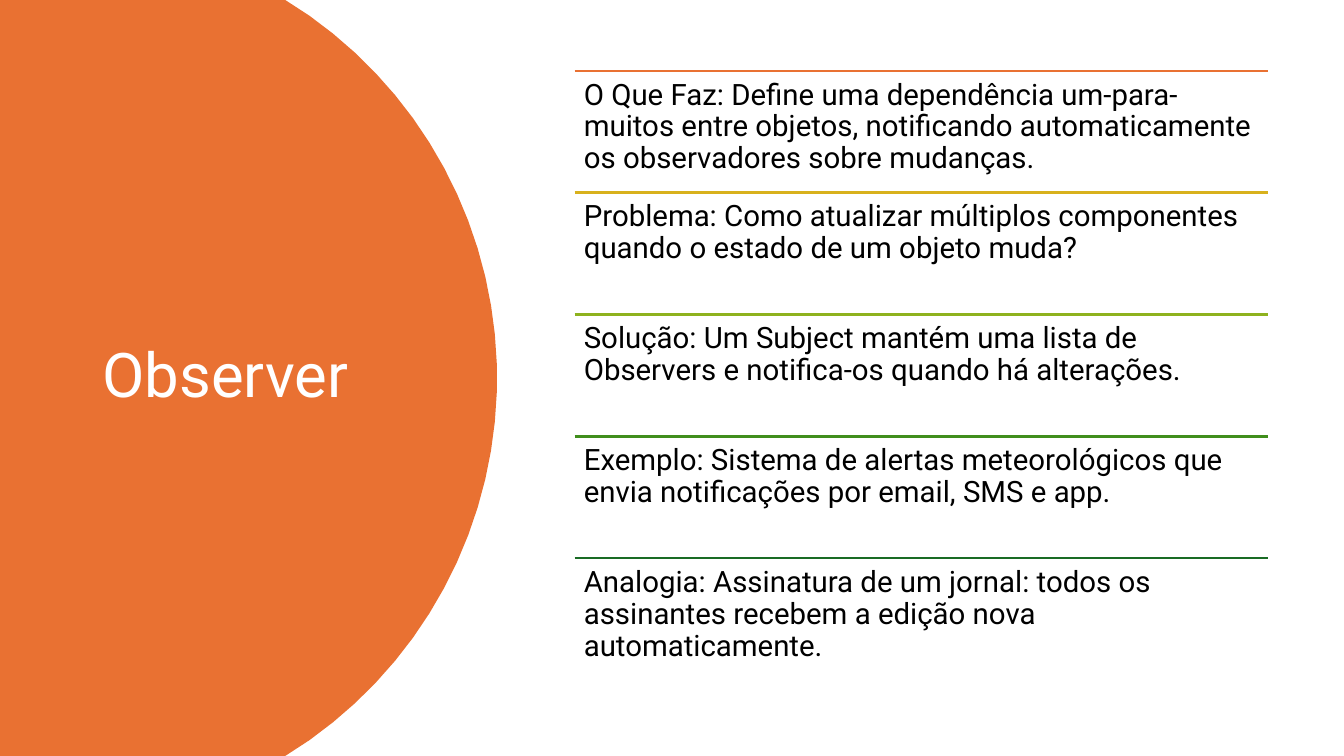
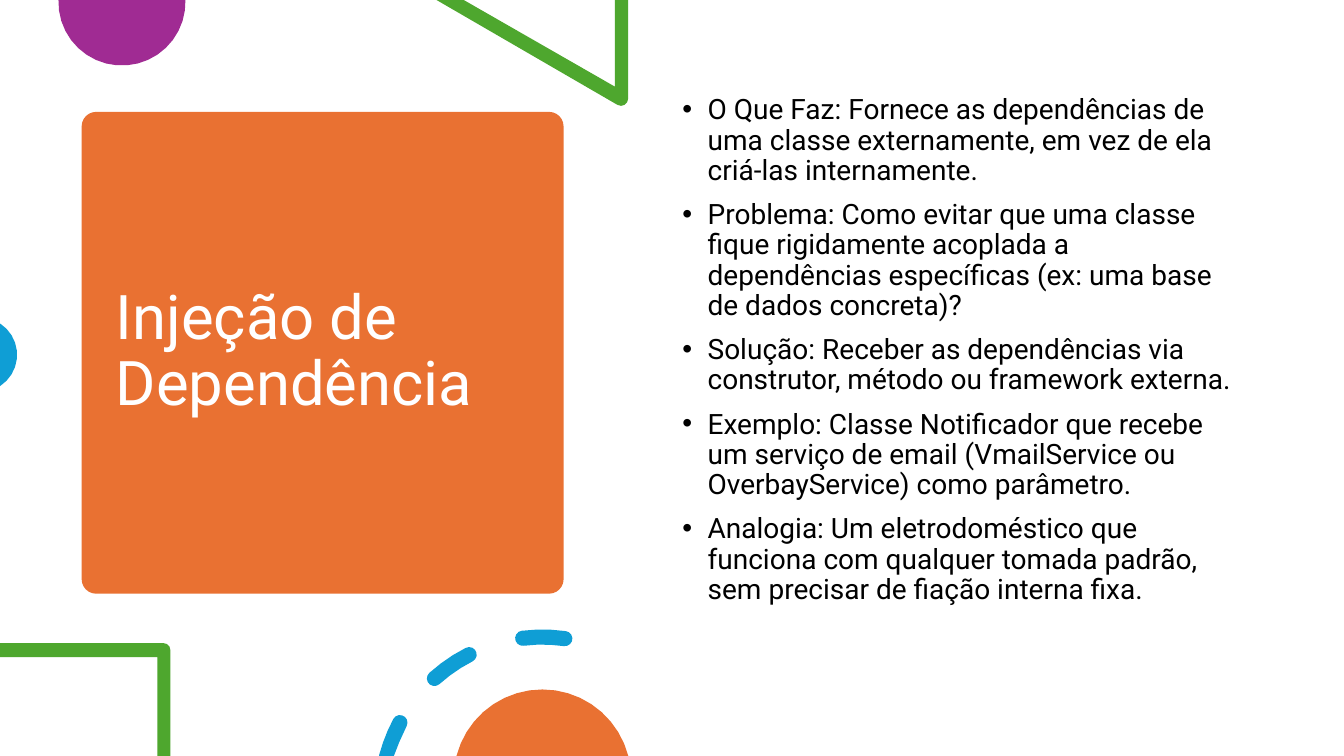
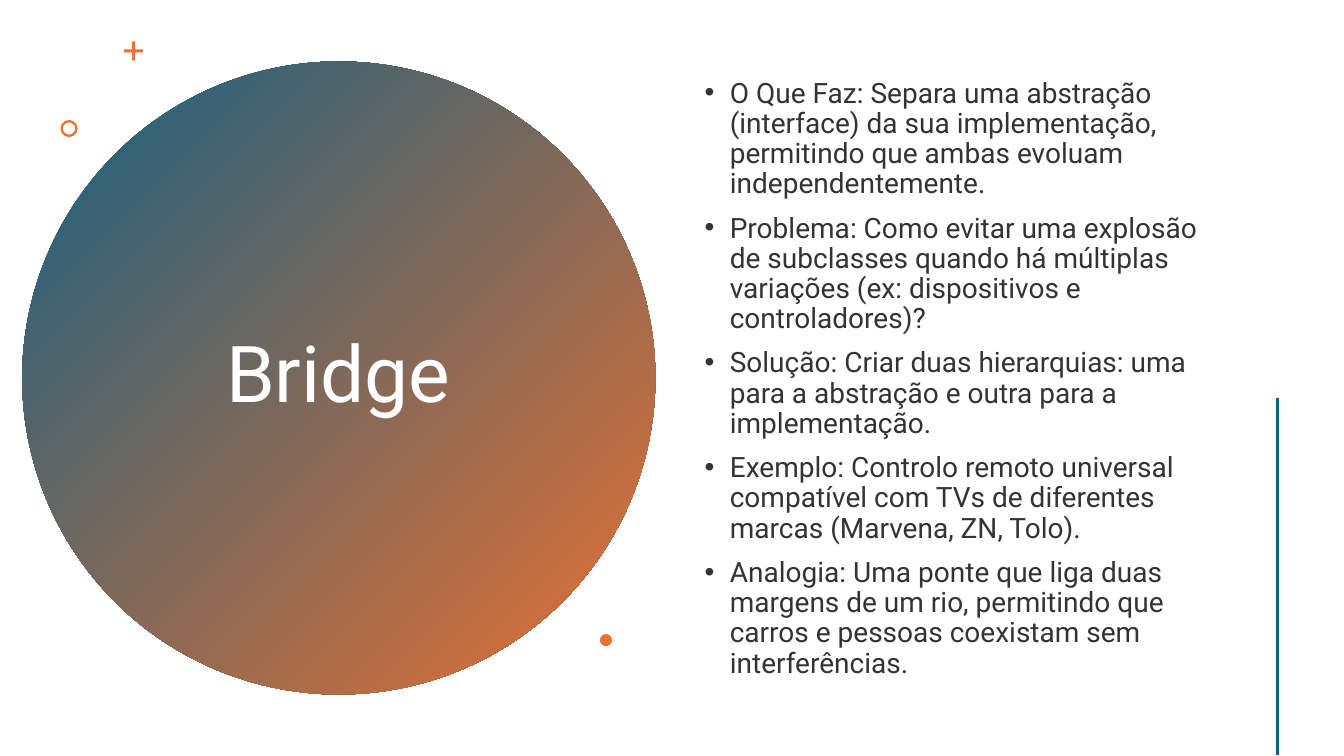
from dataclasses import dataclass
from math import ceil, cos, radians, sin, sqrt

from lxml.etree import SubElement
from pptx import Presentation
from pptx.dml.color import RGBColor
from pptx.enum.shapes import MSO_CONNECTOR, MSO_SHAPE
from pptx.enum.text import MSO_ANCHOR, PP_ALIGN
from pptx.oxml.ns import qn
from pptx.util import Emu, Pt

SCALE = 9144
WIDTH, HEIGHT = 1333, 750
FLATNESS = 0.25


@dataclass(frozen=True)
class Theme:
    """Colours, font and type sizes shared by the slides."""
    font: str = "Roboto"
    orange: str = "E97132"
    purple: str = "A02B93"
    green: str = "4EA72E"
    sky: str = "0F9ED5"
    petrol: str = "156082"
    white: str = "FFFFFF"
    black: str = "000000"
    rules: tuple = ("E97132", "D8B11D", "8EB21E", "408E1C", "196B24")
    title: int = 44
    big_title: int = 56
    row: int = 21
    body: int = 20
    leading: float = 0.9
    gap: int = 10


def px(length):
    """Turn px into EMU."""
    return Emu(round(length * SCALE))


def polar(cx, cy, radius, angle):
    """Return the point at an angle, clockwise from the right."""
    return cx + radius * cos(radians(angle)), cy + radius * sin(radians(angle))


def arc(cx, cy, radius, start, end):
    """Return just enough points along an arc to look smooth."""
    steps = ceil(radians(abs(end - start)) / sqrt(8 * FLATNESS / radius))
    return [polar(cx, cy, radius, start + (end - start) * i / steps)
            for i in range(steps + 1)]


def dash(cx, cy, radius, thickness, start, end):
    """Return the outline of a curved dash with round ends."""
    half = thickness / 2
    return (arc(cx, cy, radius + half, start, end)
            + arc(*polar(cx, cy, radius, end), half, end, end + 180)[1:-1]
            + arc(cx, cy, radius - half, end, start)
            + arc(*polar(cx, cy, radius, start), half, start + 180, start + 360)[1:-1])


class Deck:
    """Holds the style and the current slide."""

    def __init__(self, theme):
        """Start an empty presentation."""
        self.theme = theme
        self.presentation = Presentation()
        self.presentation.slide_width = px(WIDTH)
        self.presentation.slide_height = px(HEIGHT)
        self.shapes = None

    def slide(self):
        """Add a blank slide and make it current."""
        layout = self.presentation.slide_layouts[6]
        self.shapes = self.presentation.slides.add_slide(layout).shapes

    def paint(self, shape, colour):
        """Give a shape a plain fill without line or shadow."""
        shape.shadow.inherit = False
        shape.fill.solid()
        shape.fill.fore_color.rgb = RGBColor.from_string(colour)
        shape.line.fill.background()

    def preset(self, kind, box, colour, adjust=None):
        """Add a filled preset shape."""
        shape = self.shapes.add_shape(kind, *map(px, box))
        if adjust is not None:
            shape.adjustments[0] = adjust
        self.paint(shape, colour)
        return shape

    def gradient_disc(self, box, colours):
        """Add a disc shaded from its top left to its bottom right."""
        disc = self.preset(MSO_SHAPE.OVAL, box, colours[0])
        disc.fill.gradient()
        disc.fill.gradient_angle = 315
        for stop, colour in zip(disc.fill.gradient_stops, colours):
            stop.color.rgb = RGBColor.from_string(colour)

    def outline(self, colour, *contours):
        """Add one filled shape from contours, cut at the slide edges."""
        builder = None
        for contour in contours:
            points = [(px(min(max(x, 0), WIDTH)), px(min(max(y, 0), HEIGHT)))
                      for x, y in contour]
            if builder is None:
                builder = self.shapes.build_freeform(*points[0], scale=1.0)
            else:
                builder.move_to(*points[0])
            builder.add_line_segments(points[1:], close=True)
        self.paint(builder.convert_to_shape(), colour)

    def line(self, x1, y1, x2, y2, colour, weight):
        """Add a straight line."""
        rule = self.shapes.add_connector(MSO_CONNECTOR.STRAIGHT, *map(px, (x1, y1, x2, y2)))
        rule.line.color.rgb = RGBColor.from_string(colour)
        rule.line.width = Pt(weight)
        SubElement(rule._element.spPr, qn("a:effectLst"))

    def text(self, box, paragraphs, size, colour, anchor=MSO_ANCHOR.TOP,
             align=PP_ALIGN.LEFT, inset=None, opacity=None):
        """Add a text box and return its paragraphs."""
        frame = self.shapes.add_textbox(*map(px, box)).text_frame
        frame.word_wrap = True
        frame.vertical_anchor = anchor
        if inset is not None:
            frame.margin_left = frame.margin_right = px(inset)
            frame.margin_top = frame.margin_bottom = px(inset)
        frame.text = "\n".join(paragraphs)
        for paragraph in frame.paragraphs:
            paragraph.alignment = align
            paragraph.line_spacing = self.theme.leading
            for run in paragraph.runs:
                run.font.name = self.theme.font
                run.font.size = Pt(size)
                run.font.color.rgb = RGBColor.from_string(colour)
                if opacity is not None:
                    tint = run._r.find(".//" + qn("a:srgbClr"))
                    SubElement(tint, qn("a:alpha"), val=str(opacity * 1000))
        return frame.paragraphs

    def title(self, box, wording, size=None, align=PP_ALIGN.LEFT):
        """Add the white slide title."""
        self.text(box, [wording], size or self.theme.title, self.theme.white,
                  MSO_ANCHOR.MIDDLE, align)

    def bullets(self, box, items, anchor=MSO_ANCHOR.TOP, opacity=None):
        """Add a bulleted list."""
        for paragraph in self.text(box, items, self.theme.body, self.theme.black,
                                   anchor, opacity=opacity):
            paragraph.space_before = Pt(self.theme.gap)
            properties = paragraph._p.get_or_add_pPr()
            properties.set("marL", str(px(25)))
            properties.set("indent", str(px(-25)))
            SubElement(properties, qn("a:buFont"), typeface="Arial")
            SubElement(properties, qn("a:buChar"), char="•")

    def ruled_rows(self, left, top, width, pitch, rows):
        """Add text rows, each under a coloured rule."""
        for i, (wording, colour) in enumerate(zip(rows, self.theme.rules)):
            y = top + i * pitch
            self.line(left, y, left + width, y, colour, 1.5)
            self.text((left, y, width, pitch), [wording], self.theme.row,
                      self.theme.black, inset=9)


def observer(deck):
    """Build the Observer slide."""
    deck.slide()
    deck.outline(deck.theme.orange, [(0, 0)] + arc(53, 375, 440, -58.5, 58.5) + [(0, HEIGHT)])
    deck.title((92, 70, 323, 609), "Observer")
    deck.ruled_rows(570, 70, 688, 121, [
        "O Que Faz: Define uma dependência um-para-muitos entre objetos, notificando automaticamente os observadores sobre mudanças.",
        "Problema: Como atualizar múltiplos componentes quando o estado de um objeto muda?",
        "Solução: Um Subject mantém uma lista de Observers e notifica-os quando há alterações.",
        "Exemplo: Sistema de alertas meteorológicos que envia notificações por email, SMS e app.",
        "Analogia: Assinatura de um jornal: todos os assinantes recebem a edição nova automaticamente.",
    ])


def dependency_injection(deck):
    """Build the dependency injection slide."""
    theme = deck.theme
    deck.slide()
    deck.preset(MSO_SHAPE.ROUNDED_RECTANGLE, (81, 111, 478, 478), theme.orange, 0.03)
    deck.title((105, 122, 431, 456), "Injeção de Dependência")
    deck.outline(theme.purple, arc(121, 2, 63, -2, 182))
    deck.outline(theme.green, [(623, 0), (610, 0), (610, 86), (460, 0), (433, 0)]
                 + arc(616, 98, 7, 120, 0))
    deck.outline(theme.sky, arc(-20, 352, 37, -57, 57))
    deck.bullets((667, 90, 575, 535), [
        "O Que Faz: Fornece as dependências de uma classe externamente, em vez de ela criá-las internamente.",
        "Problema: Como evitar que uma classe fique rigidamente acoplada a dependências específicas (ex: uma base de dados concreta)?",
        "Solução: Receber as dependências via construtor, método ou framework externa.",
        "Exemplo: Classe Notificador que recebe um serviço de email (VmailService ou OverbayService) como parâmetro.",
        "Analogia: Um eletrodoméstico que funciona com qualquer tomada padrão, sem precisar de fiação interna fixa.",
    ])
    deck.outline(theme.green, [(0, 638), (0, 652), (156, 652), (156, 750), (169, 750)]
                 + arc(162, 645, 7, 0, -90))
    spans = [(195, 208), (228, 243), (263, 278)]
    deck.outline(theme.sky, *(dash(538, 792, 160, 15, *span) for span in spans))
    deck.outline(theme.orange, arc(538, 772, 88, 194.5, 345.5))


def bridge(deck):
    """Build the Bridge slide."""
    theme = deck.theme
    deck.slide()
    deck.gradient_disc((22, 61, 628, 628), (theme.petrol, theme.orange))
    deck.title((136, 141, 399, 467), "Bridge", theme.big_title, PP_ALIGN.CENTER)
    deck.preset(MSO_SHAPE.CROSS, (123, 41, 19, 19), theme.orange, 0.42)
    deck.preset(MSO_SHAPE.DONUT, (60, 119, 17, 17), theme.orange, 0.14)
    deck.bullets((689, 57, 522, 638), [
        "O Que Faz: Separa uma abstração (interface) da sua implementação, permitindo que ambas evoluam independentemente.",
        "Problema: Como evitar uma explosão de subclasses quando há múltiplas variações (ex: dispositivos e controladores)?",
        "Solução: Criar duas hierarquias: uma para a abstração e outra para a implementação.",
        "Exemplo: Controlo remoto universal compatível com TVs de diferentes marcas (Marvena, ZN, Tolo).",
        "Analogia: Uma ponte que liga duas margens de um rio, permitindo que carros e pessoas coexistam sem interferências.",
    ], MSO_ANCHOR.MIDDLE, opacity=80)
    deck.preset(MSO_SHAPE.OVAL, (595, 629, 12, 12), theme.orange)
    deck.line(1267, 395, 1267, 749, theme.petrol, 2)


def main():
    """Build and save the presentation."""
    deck = Deck(Theme())
    for build in (observer, dependency_injection, bridge):
        build(deck)
    deck.presentation.save("out.pptx")


if __name__ == "__main__":
    main()
